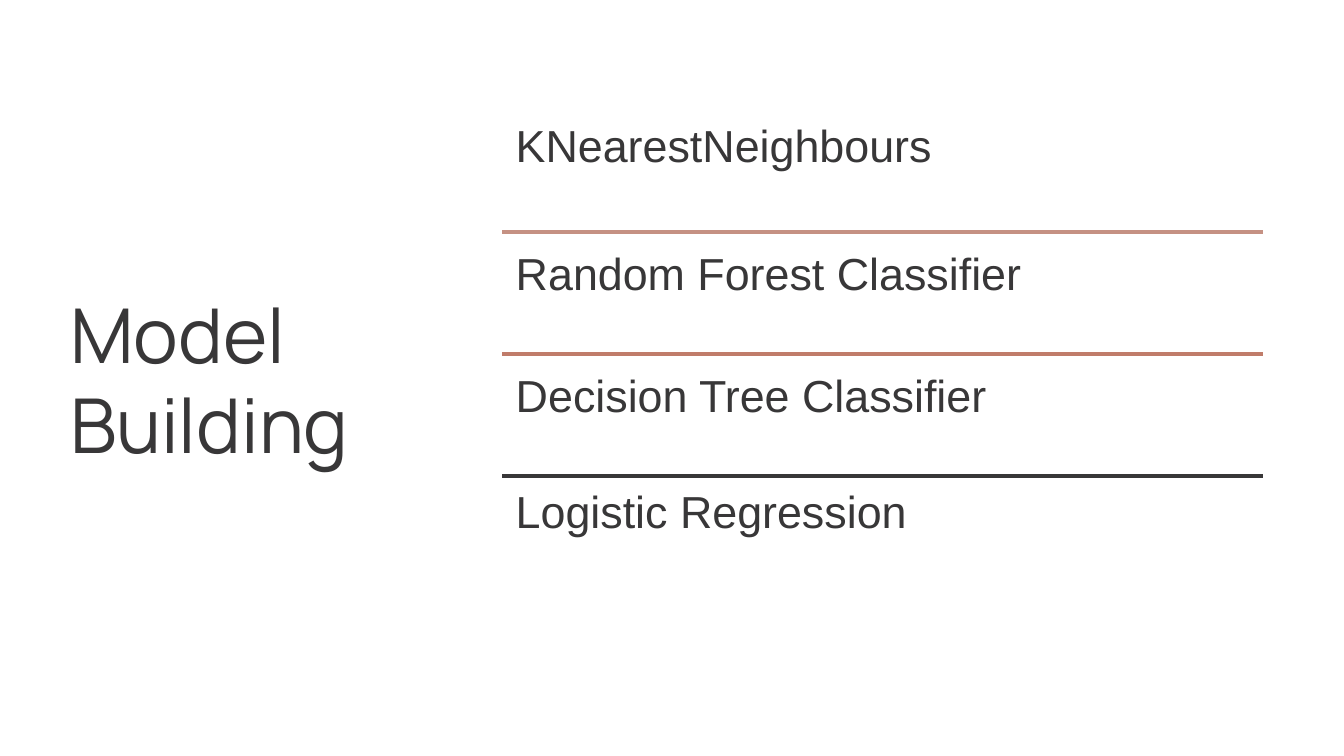
"""Build the Model Building slide: a title beside four ruled rows of models."""
from lxml.etree import SubElement
from pptx import Presentation
from pptx.dml.color import RGBColor as Rgb
from pptx.enum.shapes import MSO_CONNECTOR as Conn
from pptx.enum.text import MSO_ANCHOR as Anchor, PP_ALIGN as Align
from pptx.oxml.ns import qn
from pptx.util import Pt

HUES = {"ink": "383738", "rose": "C59183", "clay": "C07C6A"}
LEFT, TOP, WIDTH, STEP = 269.2, 59, 407.6, 65.35
ROWS = [
    ("KNearestNeighbours", 0.9, None, STEP),
    ("Random Forest Classifier", 1.0, "rose", STEP),
    ("Decision Tree Classifier", 1.0, "clay", STEP),
    ("Logistic Regression", 0.9, "ink", 123),
]


def set_text(shape, text, size, face, inset, anchor):
    frame = shape.text_frame
    frame.word_wrap = True
    frame.vertical_anchor = anchor
    frame.margin_left = frame.margin_right = Pt(inset)
    frame.margin_top = frame.margin_bottom = Pt(inset)
    frame.text = text
    para = frame.paragraphs[0]
    para.alignment = Align.LEFT
    font = para.runs[0].font
    font.size, font.name = Pt(size), face
    font.color.rgb = Rgb.from_string(HUES["ink"])
    return para


def add_title(slide, text):
    box = slide.shapes.add_textbox(Pt(37.6), Pt(37.8), Pt(201.6), Pt(329.8))
    set_text(box, text, 40.5, "Manrope", 0, Anchor.MIDDLE)


def add_row(slide, y, text, gap, high):
    right, base = Pt(LEFT + WIDTH), Pt(y + high)
    pen = slide.shapes.build_freeform(Pt(LEFT), Pt(y))
    pen.add_line_segments([(right, Pt(y)), (right, base), (Pt(LEFT), base)])
    row = pen.convert_to_shape()
    row.shadow.inherit = False
    row.fill.background()
    row.line.fill.background()
    para = set_text(row, text, 24, "Arial", 7.2, Anchor.TOP)
    para.line_spacing = gap


def add_rule(slide, y, hue):
    rule = slide.shapes.add_connector(
        Conn.STRAIGHT, Pt(LEFT), Pt(y), Pt(LEFT + WIDTH), Pt(y)
    )
    rule.line.width = Pt(2)
    rule.line.color.rgb = Rgb.from_string(HUES[hue])
    SubElement(rule._element.spPr, qn("a:effectLst"))


def main():
    deck = Presentation()
    deck.slide_width, deck.slide_height = Pt(720), Pt(405)
    slide = deck.slides.add_slide(deck.slide_layouts[6])
    add_title(slide, "Model Building")
    for i, (name, gap, hue, high) in enumerate(ROWS):
        y = TOP + i * STEP
        if hue:
            add_rule(slide, y, hue)
        add_row(slide, y, name, gap, high)
    deck.save("out.pptx")


if __name__ == "__main__":
    main()
